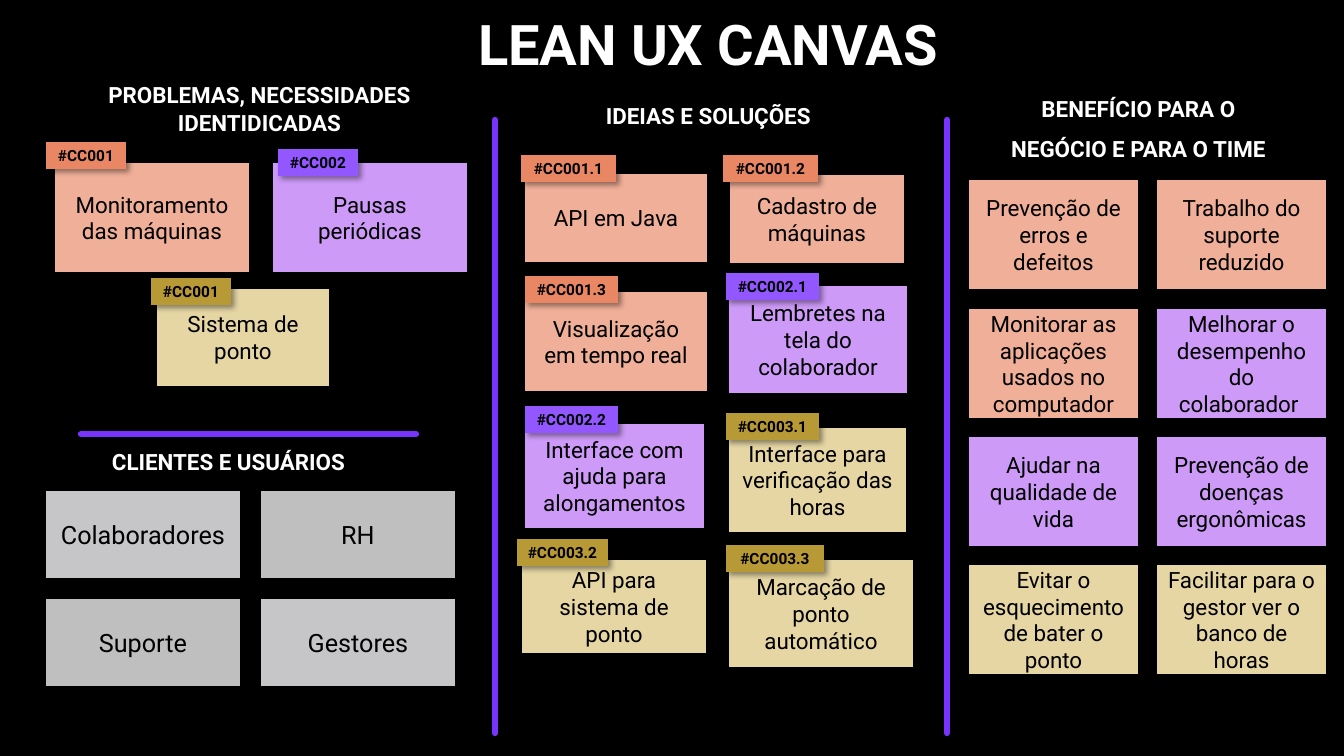
import pptx
import pptx.dml.color
import pptx.enum.shapes
import pptx.enum.text
import pptx.oxml
import pptx.oxml.ns
import pptx.util
from lxml import etree

RGB = pptx.dml.color.RGBColor
BLACK = RGB(0x00, 0x00, 0x00)
WHITE = RGB(0xFF, 0xFF, 0xFF)
VIOLET = RGB(0x79, 0x33, 0xFF)
SALMON = RGB(0xF0, 0xAF, 0x98)
ORANGE = RGB(0xE9, 0x87, 0x64)
LILAC = RGB(0xCD, 0x9A, 0xF8)
PURPLE = RGB(0x92, 0x57, 0xFF)
SAND = RGB(0xE5, 0xD6, 0xA4)
GOLD = RGB(0xB7, 0x99, 0x35)
LIGHT_GREY = RGB(0xC6, 0xC6, 0xC9)
GREY = RGB(0xBF, 0xBF, 0xBF)

SLIDE_W, SLIDE_H = 1344, 756
EMU_PER_PX = 12192000 / SLIDE_W
LEFT = pptx.enum.text.PP_ALIGN.LEFT
CENTER = pptx.enum.text.PP_ALIGN.CENTER

DIVIDERS = [(81, 434, 416, 434), (495, 120, 495, 733), (947, 120, 947, 733)]

HEADINGS = [
    ("PROBLEMAS, NECESSIDADES IDENTIDICADAS", (81, 74, 357, 55), CENTER),
    ("CLIENTES E USUÁRIOS", (102, 441, 291, 42), LEFT),
    ("IDEIAS E SOLUÇÕES", (596, 95, 250, 40), LEFT),
    ("BENEFÍCIO PARA O\nNEGÓCIO E PARA O TIME", (985, 88, 307, 71), CENTER),
]

# Card text, card box, card colour, tag text, tag left, top and width, tag colour
TAGGED_CARDS = [
    ("Monitoramento das máquinas", (55, 163, 194, 109), SALMON,
     "#CC001", (46, 142, 80), ORANGE),
    ("Pausas periódicas", (273, 163, 194, 109), LILAC,
     "#CC002", (278, 149, 80), PURPLE),
    ("Sistema de ponto", (157, 289, 172, 97), SAND,
     "#CC001", (151, 278, 80), GOLD),
    ("API em Java", (525, 174, 182, 88), SALMON,
     "#CC001.1", (521, 155, 95), ORANGE),
    ("Cadastro de máquinas", (730, 175, 174, 88), SALMON,
     "#CC001.2", (723, 155, 95), ORANGE),
    ("Visualização em tempo real", (525, 292, 182, 99), SALMON,
     "#CC001.3", (525, 276, 93), ORANGE),
    ("Lembretes na tela do colaborador", (729, 286, 178, 107), LILAC,
     "#CC002.1", (726, 273, 93), PURPLE),
    ("Interface com ajuda para alongamentos", (525, 424, 179, 104), LILAC,
     "#CC002.2", (525, 406, 93), PURPLE),
    ("Interface para verificação das horas", (729, 428, 177, 104), SAND,
     "#CC003.1", (726, 413, 93), GOLD),
    ("API para sistema de ponto", (522, 560, 184, 93), SAND,
     "#CC003.2", (517, 539, 91), GOLD),
    ("Marcação de ponto automático", (729, 560, 184, 107), SAND,
     "#CC003.3", (726, 545, 98), GOLD),
]

CLIENTS = [
    ("Colaboradores", LIGHT_GREY), ("RH", GREY),
    ("Suporte", GREY), ("Gestores", LIGHT_GREY),
]

BENEFITS = [
    ("Prevenção de erros e defeitos", SALMON),
    ("Trabalho do suporte reduzido", SALMON),
    ("Monitorar as aplicações usados no computador", SALMON),
    ("Melhorar o desempenho do colaborador ", LILAC),
    ("Ajudar na qualidade de vida", LILAC),
    ("Prevenção de doenças ergonômicas", LILAC),
    ("Evitar o esquecimento de bater o ponto", SAND),
    ("Facilitar para o gestor ver o banco de horas", SAND),
]


def emu(*lengths):
    return [round(px * EMU_PER_PX) for px in lengths]


class Canvas:
    font = "Roboto"

    def __init__(self, s):
        self.s = s
        s.background.fill.solid()
        s.background.fill.fore_color.rgb = BLACK

    def set_text(self, tf, text, size, color, bold=False, align=CENTER):
        tf.text = text
        tf.word_wrap = True
        for p in tf.paragraphs:
            p.alignment = align
            for r in p.runs:
                r.font.name = self.font
                r.font.size = pptx.util.Pt(size)
                r.font.bold = bold
                r.font.color.rgb = color

    def space(self, tf):
        """Set the line and paragraph spacing shared by title and headings."""
        tf.vertical_anchor = pptx.enum.text.MSO_ANCHOR.TOP
        for p in tf.paragraphs:
            p.line_spacing = 1.07
            p.space_before = pptx.util.Pt(0)
            p.space_after = pptx.util.Pt(8)

    def title(self, text, box):
        sp = self.s.shapes.title
        sp.left, sp.top, sp.width, sp.height = emu(*box)
        self.set_text(sp.text_frame, text, 40, WHITE, bold=True)
        self.space(sp.text_frame)
        sp.text_frame.auto_size = pptx.enum.text.MSO_AUTO_SIZE.NONE

    def heading(self, text, box, align):
        tf = self.s.shapes.add_textbox(*emu(*box)).text_frame
        self.set_text(tf, text, 16, WHITE, bold=True, align=align)
        self.space(tf)

    def divider(self, ends):
        line = self.s.shapes.add_connector(
            pptx.enum.shapes.MSO_CONNECTOR.STRAIGHT, *emu(*ends))
        line.line.color.rgb = VIOLET
        line.line.width = pptx.util.Pt(4.5)
        properties = line._element.spPr
        properties.find(pptx.oxml.ns.qn("a:ln")).set("cap", "rnd")
        etree.SubElement(properties, pptx.oxml.ns.qn("a:effectLst"))

    def note(self, text, box, fill, size=16, bold=False):
        """Add a filled, shadowed rectangle with centred text."""
        sp = self.s.shapes.add_shape(
            pptx.enum.shapes.MSO_SHAPE.FLOWCHART_PROCESS, *emu(*box))
        sp.fill.solid()
        sp.fill.fore_color.rgb = fill
        sp.line.fill.background()
        self.shadow(sp)
        sp.text_frame.vertical_anchor = pptx.enum.text.MSO_ANCHOR.MIDDLE
        self.set_text(sp.text_frame, text, size, BLACK, bold)

    def shadow(self, sp):
        sp.shadow.inherit = False
        effects = sp._element.spPr.find(pptx.oxml.ns.qn("a:effectLst"))
        effects.append(pptx.oxml.parse_xml(
            f'<a:outerShdw {pptx.oxml.ns.nsdecls("a")} blurRad="50800" '
            'dist="38100" dir="2700000" algn="tl" rotWithShape="0">'
            '<a:srgbClr val="000000"><a:alpha val="40000"/></a:srgbClr>'
            '</a:outerShdw>'))

    def grid(self, notes, lefts, tops, size, font_size):
        """Lay notes out row by row on the given column and row positions."""
        for i, (text, fill) in enumerate(notes):
            row, col = divmod(i, len(lefts))
            self.note(text, (lefts[col], tops[row], *size), fill, font_size)


def main():
    prs = pptx.Presentation()
    prs.slide_width, prs.slide_height = emu(SLIDE_W, SLIDE_H)
    canvas = Canvas(prs.slides.add_slide(prs.slide_layouts[5]))

    for ends in DIVIDERS:
        canvas.divider(ends)
    canvas.title("LEAN UX CANVAS", (437, 0, 542, 55))
    for heading in HEADINGS:
        canvas.heading(*heading)
    for text, box, fill, tag, (left, top, width), tag_fill in TAGGED_CARDS:
        canvas.note(text, box, fill)
        canvas.note(tag, (left, top, width, 27), tag_fill, 11, bold=True)
    canvas.grid(CLIENTS, (46, 261), (491, 599), (194, 87), 18)
    canvas.grid(BENEFITS, (969, 1157), (180, 309, 437, 565), (169, 109), 16)

    prs.save("out.pptx")


if __name__ == "__main__":
    main()
